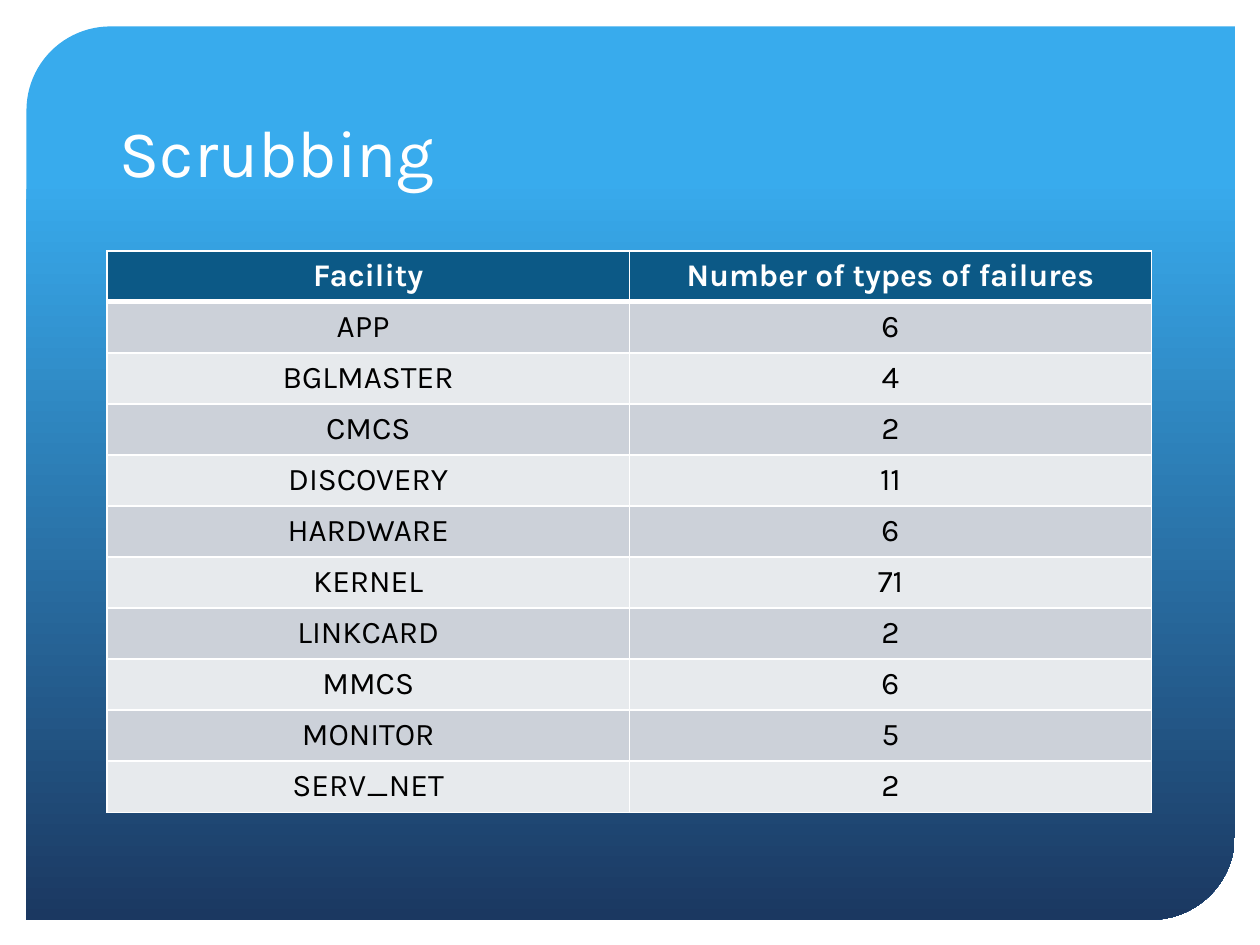
from lxml.etree import fromstring
from pptx import Presentation
from pptx.dml.color import RGBColor
from pptx.enum.shapes import MSO_SHAPE as Shape
from pptx.enum.text import MSO_ANCHOR as Anchor, PP_ALIGN as Align
from pptx.oxml.ns import nsdecls
from pptx.util import Inches, Pt

WHITE = RGBColor(0xFF, 0xFF, 0xFF)
BLACK = RGBColor(0, 0, 0)
SKY = RGBColor(0x38, 0xAB, 0xED)
NAVY = RGBColor(0x1B, 0x38, 0x61)
TEAL = RGBColor(0x0C, 0x59, 0x86)
BANDS = RGBColor(0xCC, 0xD1, 0xD9), RGBColor(0xE7, 0xEA, 0xED)

ROWS = [
    ("Facility", "Number of types of failures"),
    ("APP\t", "6"),
    ("BGLMASTER", "4"),
    ("CMCS", "2"),
    ("DISCOVERY", "11"),
    ("HARDWARE", "6"),
    ("KERNEL", "71"),
    ("LINKCARD", "2"),
    ("MMCS", "6"),
    ("MONITOR", "5"),
    ("SERV_NET", "2"),
]


class Deck:
    """Hold the text style and the current slide, and draw each kind of element."""

    def __init__(self, font):
        self.font = font
        self.file = Presentation()
        self.file.slide_width, self.file.slide_height = Inches(10), Inches(7.5)
        self.slide = self.file.slides.add_slide(self.file.slide_layouts[6])

    def panel(self, box, curve, stops):
        shape = self.slide.shapes.add_shape(Shape.ROUND_2_DIAG_RECTANGLE, *map(Inches, box))
        shape.shadow.inherit = False
        shape.adjustments[0], shape.adjustments[1] = curve, 0
        shape.line.fill.background()
        shape.fill.gradient()
        shape.fill.gradient_angle = 270
        for stop, (place, color) in zip(shape.fill.gradient_stops, stops):
            stop.position, stop.color.rgb = place, color

    def label(self, para, text, size, color, bold=False):
        run = para.add_run()
        run.text = text
        font = run.font
        font.name, font.size, font.bold = self.font, Pt(size), bold
        font.color.rgb = color

    def title(self, box, text, size):
        frame = self.slide.shapes.add_textbox(*map(Inches, box)).text_frame
        frame.word_wrap = True
        frame.vertical_anchor = Anchor.BOTTOM
        self.label(frame.paragraphs[0], text, size, WHITE)

    def edge(self, cell, side, width):
        line = fromstring(
            f'<a:ln{side} {nsdecls("a")} w="{Pt(width)}"><a:solidFill>'
            f'<a:srgbClr val="{WHITE}"/></a:solidFill></a:ln{side}>'
        )
        props = cell._tc.get_or_add_tcPr()
        props.insert("LRTB".index(side), line)

    def table(self, box, rows, size):
        frame = self.slide.shapes.add_table(len(rows), len(rows[0]), *map(Inches, box))
        grid = frame.table
        for line in grid.rows:
            line.height = Inches(box[3] / len(rows))
        for r, row in enumerate(rows):
            head = r == 0
            for c, text in enumerate(row):
                cell = grid.cell(r, c)
                cell.fill.solid()
                cell.fill.fore_color.rgb = TEAL if head else BANDS[(r - 1) % 2]
                para = cell.text_frame.paragraphs[0]
                para.alignment = Align.CENTER
                self.label(para, text, size, WHITE if head else BLACK, head)
                for side in "LRTB":
                    thick = (head and side == "B") or (r == 1 and side == "T")
                    self.edge(cell, side, 3 if thick else 1)


def main():
    deck = Deck("Karla")
    deck.panel((0.21, 0.21, 9.59, 7.09), 0.094, [(0.17, SKY), (1, NAVY)])
    deck.title((0.85, 0.42, 8.29, 1.14), "Scrubbing", 38)
    deck.table((0.85, 1.99, 8.29, 4.46), ROWS, 18)
    deck.file.save("out.pptx")


if __name__ == "__main__":
    main()
